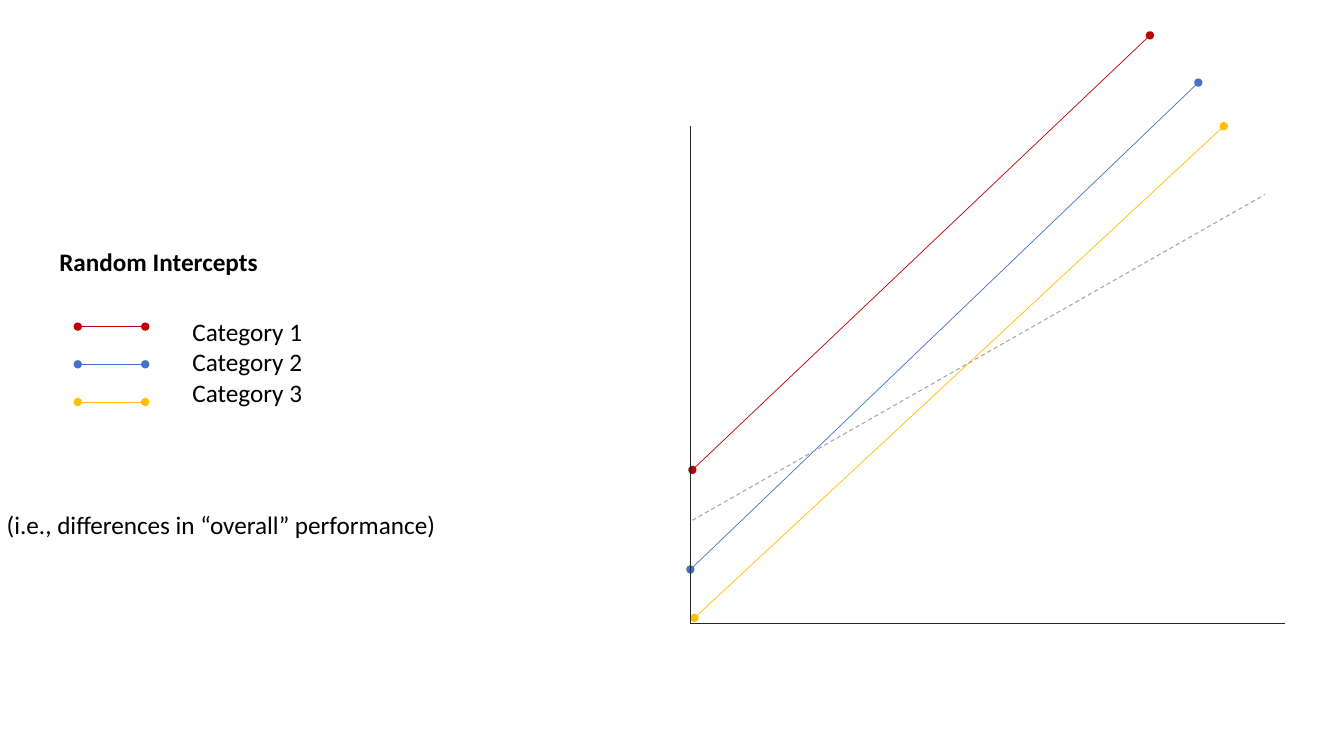
from dataclasses import dataclass

from lxml import etree
from pptx import Presentation
from pptx.dml.color import RGBColor
from pptx.enum.dml import MSO_LINE
from pptx.enum.shapes import MSO_CONNECTOR
from pptx.enum.text import MSO_ANCHOR, MSO_AUTO_SIZE, PP_ALIGN
from pptx.oxml.ns import qn
from pptx.shapes.autoshape import Shape
from pptx.shapes.connector import Connector
from pptx.slide import Slide
from pptx.util import Cm, Pt

STRAIGHT = MSO_CONNECTOR.STRAIGHT
DASH = MSO_LINE.DASH
TOP = MSO_ANCHOR.TOP
LEFT = PP_ALIGN.LEFT
NO_AUTOFIT = MSO_AUTO_SIZE.NONE

COLORS = {
    "red": "C00000",
    "blue": "4472C4",
    "yellow": "FFC000",
    "trend": "A5A5A5",
    "axis": "262626",
    "text": "000000",
}
FONT = "Calibri"
FONT_SIZE = 18

# Lengths in centimetres
AXIS_X, AXIS_TOP, AXIS_Y, AXIS_RIGHT = 17.4, 3.18, 15.72, 32.39
KEY_LEFT, KEY_RIGHT, KEY_TOP, KEY_STEP = 1.96, 3.66, 8.23, 0.95

Point = tuple[float, float]


@dataclass(frozen=True)
class Category:
    name: str
    color: str
    start: Point
    end: Point


CATEGORIES = [
    Category("Category 1", "red", (17.45, 11.84), (28.98, 0.89)),
    Category("Category 2", "blue", (17.4, 14.35), (30.2, 2.08)),
    Category("Category 3", "yellow", (17.5, 15.57), (30.84, 3.18)),
]


def add_line(s: Slide, start: Point, end: Point, color: str,
             width: float = 0.5) -> Connector:
    line = s.shapes.add_connector(STRAIGHT, *(Cm(v) for v in start + end))
    line.line.color.rgb = RGBColor.from_string(COLORS[color])
    line.line.width = Pt(width)
    etree.SubElement(line._element.spPr, qn("a:effectLst"))
    return line


def add_dotted_ends_line(s: Slide, start: Point, end: Point, color: str) -> None:
    """Draw a line with a round dot at both ends."""
    ln = add_line(s, start, end, color).line._get_or_add_ln()
    for tag in ("a:headEnd", "a:tailEnd"):
        etree.SubElement(ln, qn(tag), type="oval")


def write_text(sp: Shape, box: tuple[float, float, float, float],
               lines: list[str], bold: bool = False) -> None:
    """Place a shape at left, top, width, height and fill it with paragraphs."""
    sp.left, sp.top, sp.width, sp.height = (Cm(v) for v in box)
    tf = sp.text_frame
    tf.text = "\n".join(lines)
    tf.word_wrap = True
    tf.auto_size = NO_AUTOFIT
    tf.vertical_anchor = TOP
    for p in tf.paragraphs:
        p.alignment = LEFT
        p.font.name = FONT
        p.font.size = Pt(FONT_SIZE)
        p.font.bold = bold
        p.font.color.rgb = RGBColor.from_string(COLORS["text"])


def add_text(s: Slide, box: tuple[float, float, float, float],
             lines: list[str]) -> None:
    write_text(s.shapes.add_textbox(0, 0, 0, 0), box, lines)


def draw_plot(s: Slide) -> None:
    for category in CATEGORIES:
        add_dotted_ends_line(s, category.start, category.end, category.color)
    origin = (AXIS_X, AXIS_Y)
    add_line(s, (AXIS_X, AXIS_TOP), origin, "axis")
    add_line(s, (AXIS_RIGHT, AXIS_Y), origin, "axis")
    trend = add_line(s, (17.45, 13.11), (31.88, 4.9), "trend", 0.75)
    trend.line.dash_style = DASH


def draw_legend(s: Slide) -> None:
    for i, category in enumerate(CATEGORIES):
        y = KEY_TOP + i * KEY_STEP
        add_dotted_ends_line(s, (KEY_LEFT, y), (KEY_RIGHT, y), category.color)
    add_text(s, (4.6, 7.85, 4.01, 4.83), [c.name for c in CATEGORIES])


def main() -> None:
    prs = Presentation()
    prs.slide_width, prs.slide_height = Cm(33.87), Cm(19.05)
    s = prs.slides.add_slide(prs.slide_layouts.get_by_name("Title Only"))
    write_text(s.shapes.title, (1.24, 6.07, 14.3, 1.78),
               ["Random Intercepts"], bold=True)
    draw_plot(s)
    draw_legend(s)
    add_text(s, (-0.08, 12.7, 13.92, 1.02),
             ["(i.e., differences in “overall” performance)"])
    prs.save("out.pptx")


if __name__ == "__main__":
    main()
